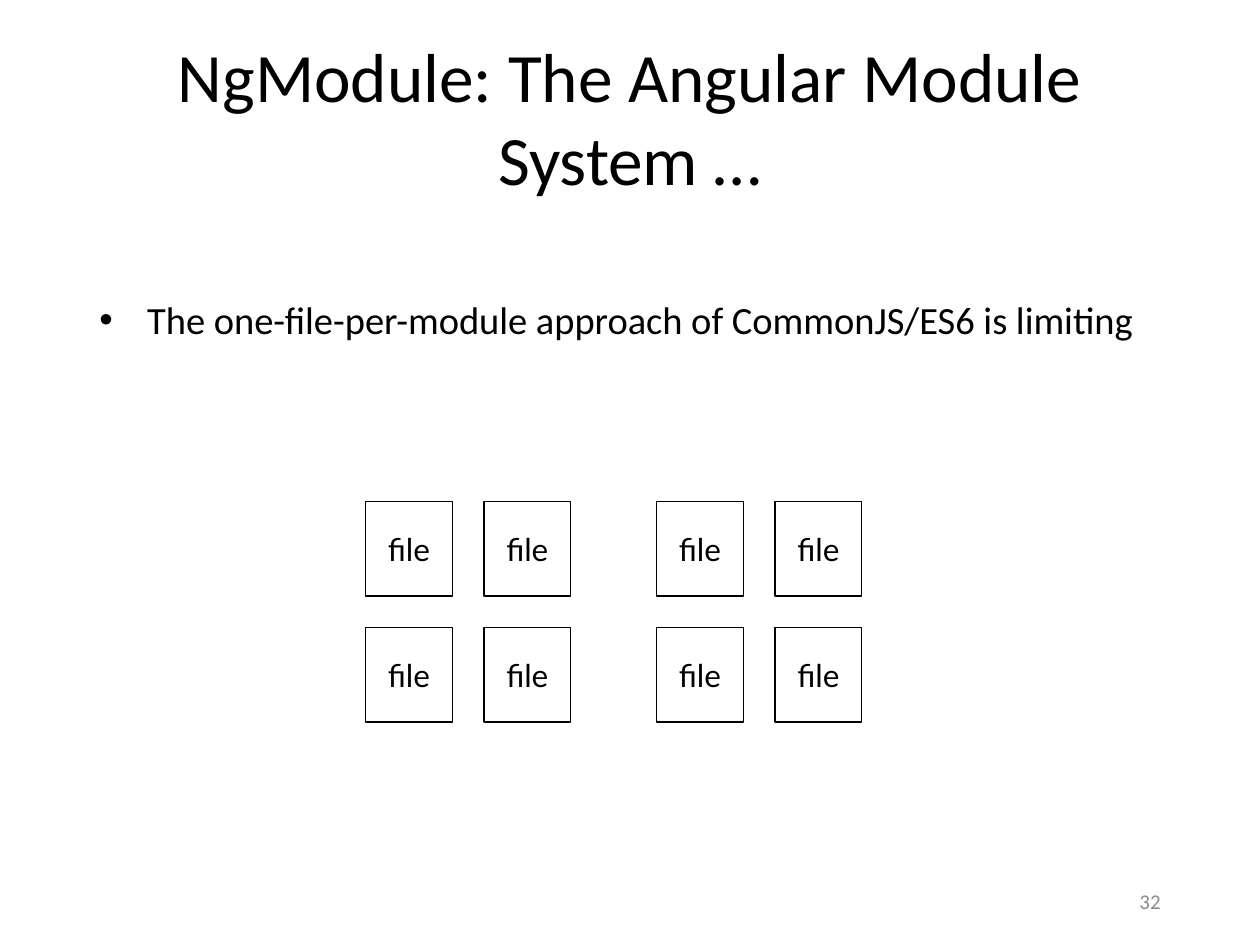
from itertools import product

from lxml import etree
from pptx import Presentation, util as u
from pptx.dml.color import RGBColor
from pptx.enum import shapes, text
from pptx.oxml import ns

COLORS = {"ink": "000000", "muted": "8C8C8C", "paper": "FFFFFF"}


class SlideBuilder:
    """Holds the slide and the style of its elements."""

    body_font = "Calibri"
    file_font = "Lato"

    def __init__(self, slide):
        self.slide = slide
        fill = slide.background.fill
        fill.solid()
        fill.fore_color.rgb = self.color("paper")

    def color(self, name):
        return RGBColor.from_string(COLORS[name])

    def set_text(self, shape, content, size, font, align, color="ink", **frame_format):
        frame = shape.text_frame
        for name, value in frame_format.items():
            setattr(frame, name, value)
        paragraph = frame.paragraphs[0]
        paragraph.alignment = align
        run = paragraph.add_run()
        run.text = content
        for name, value in {"name": font, "size": u.Pt(size)}.items():
            setattr(run.font, name, value)
        run.font.color.rgb = self.color(color)
        return paragraph

    def label(self, box, content, size, align, color="ink", anchor=text.MSO_ANCHOR.MIDDLE):
        shape = self.slide.shapes.add_textbox(*map(u.Inches, box))
        return self.set_text(shape, content, size, self.body_font, align, color,
                             word_wrap=True, vertical_anchor=anchor)

    def bullet(self, box, content, size, indent):
        paragraph = self.label(box, content, size, text.PP_ALIGN.LEFT,
                               anchor=text.MSO_ANCHOR.TOP)
        properties = paragraph._p.get_or_add_pPr()
        properties.set("marL", str(u.Inches(indent)))
        properties.set("indent", str(-u.Inches(indent)))
        etree.SubElement(properties, ns.qn("a:buFont"), typeface="Arial")
        etree.SubElement(properties, ns.qn("a:buChar"), char="•")

    def file_box(self, box):
        shape = self.slide.shapes.add_shape(
            shapes.MSO_SHAPE.RECTANGLE, *map(u.Inches, box))
        shape.shadow.inherit = False
        shape.fill.background()
        shape.line.color.rgb = self.color("ink")
        shape.line.width = u.Pt(0.75)
        self.set_text(shape, "file", 18, self.file_font, text.PP_ALIGN.CENTER,
                      word_wrap=False, vertical_anchor=text.MSO_ANCHOR.MIDDLE)


def main():
    presentation = Presentation()
    presentation.slide_width = u.Inches(10)
    presentation.slide_height = u.Inches(7.5)
    builder = SlideBuilder(presentation.slides.add_slide(presentation.slide_layouts[6]))

    # Title and statement
    builder.label((0.5, 0.3, 9, 1.25), "NgModule: The Angular Module System …",
                  39.6, text.PP_ALIGN.CENTER)
    builder.bullet((0.69, 2.3, 8.48, 0.94),
                   "The one-file-per-module approach of CommonJS/ES6 is limiting",
                   22, indent=0.38)

    # Two groups of two by two files
    group_lefts, column_step = (2.9, 5.21), 0.94
    top, row_step = 3.98, 1
    for group_left, row, column in product(group_lefts, range(2), range(2)):
        builder.file_box((group_left + column * column_step,
                          top + row * row_step, 0.69, 0.75))

    # Page number
    builder.label((7.06, 6.95, 2.25, 0.4), "32", 12, text.PP_ALIGN.RIGHT, "muted")

    presentation.save("out.pptx")


if __name__ == "__main__":
    main()
